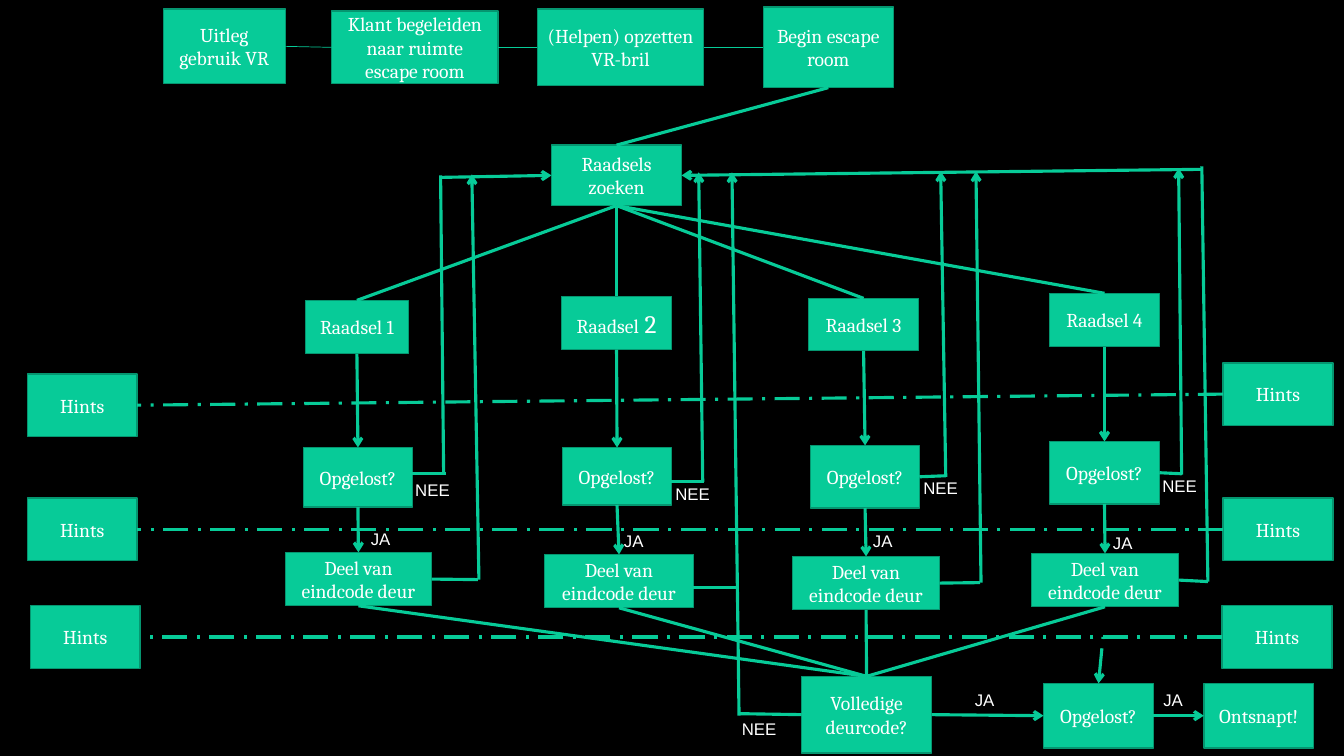
from lxml import etree
from pptx import Presentation
from pptx.dml.color import RGBColor
from pptx.enum.dml import MSO_LINE
from pptx.enum.shapes import MSO_CONNECTOR, MSO_SHAPE
from pptx.enum.text import MSO_ANCHOR, MSO_AUTO_SIZE, PP_ALIGN
from pptx.oxml.ns import qn
from pptx.util import Pt

EMU_PER_PX = 9144
RECTANGLE = MSO_SHAPE.RECTANGLE
STRAIGHT = MSO_CONNECTOR.STRAIGHT
DASH_DOT = MSO_LINE.LONG_DASH_DOT
MIDDLE = MSO_ANCHOR.MIDDLE
CENTER = PP_ALIGN.CENTER
FIXED = MSO_AUTO_SIZE.NONE
GROW = MSO_AUTO_SIZE.SHAPE_TO_FIT_TEXT
TOP, LEFT, BOTTOM, RIGHT = range(4)
HEAD, TAIL = "headEnd", "tailEnd"

COLORS = {"background": "000000", "green": "07CB98", "border": "059670", "text": "FFFFFF"}
BOX_FONT = {"name": "Cambria", "size": Pt(14)}
LABEL_FONT = {"name": "Arial", "size": Pt(12)}
BOX_FRAME = {"word_wrap": True, "auto_size": FIXED, "vertical_anchor": MIDDLE}
LABEL_FRAME = {"word_wrap": True, "auto_size": GROW}


def px(value):
    return value * EMU_PER_PX


def color(name):
    return RGBColor.from_string(COLORS[name])


def apply(target, values):
    for name, value in values.items():
        setattr(target, name, value)


class Flowchart:
    def __init__(self, page):
        self.page = page
        self.boxes = {}
        page.background.fill.solid()
        page.background.fill.fore_color.rgb = color("background")

    def add_span(self, para, text, font):
        span = para.add_run()
        span.text = text
        apply(span.font, font)
        span.font.color.rgb = color("text")

    def box(self, key, text, place, large=""):
        box = self.page.shapes.add_shape(RECTANGLE, *map(px, place))
        box.shadow.inherit = False
        box.fill.solid()
        box.fill.fore_color.rgb = color("green")
        box.line.color.rgb = color("border")
        box.line.width = Pt(1)
        apply(box.text_frame, BOX_FRAME)
        para = box.text_frame.paragraphs[0]
        para.alignment = CENTER
        self.add_span(para, text, BOX_FONT)
        if large:
            self.add_span(para, large, BOX_FONT | {"size": Pt(18)})
        self.boxes[key] = box

    def label(self, text, x, y, width):
        label = self.page.shapes.add_textbox(px(x), px(y), px(width), px(30))
        apply(label.text_frame, LABEL_FRAME)
        self.add_span(label.text_frame.paragraphs[0], text, LABEL_FONT)

    def line(self, start, end, arrow=None, width=2.25, dash=None):
        joined = [point[0] in self.boxes for point in (start, end)]
        first = (0, 0) if joined[0] else start
        last = (0, 0) if joined[1] else end
        line = self.page.shapes.add_connector(STRAIGHT, *map(px, (*first, *last)))
        if joined[0]:
            line.begin_connect(self.boxes[start[0]], start[1])
        if joined[1]:
            line.end_connect(self.boxes[end[0]], end[1])
        line.line.color.rgb = color("green")
        apply(line.line, {"width": Pt(width), "dash_style": dash})
        properties = line._element.spPr
        if arrow:
            etree.SubElement(properties.find(qn("a:ln")), qn("a:" + arrow), type="arrow")
        etree.SubElement(properties, qn("a:effectLst"))


def add_boxes(chart):
    steps = [
        ("uitleg", "Uitleg gebruik VR", (162, 9, 121, 74)),
        ("klant", "Klant begeleiden naar ruimte escape room", (329, 11, 165, 72)),
        ("bril", "(Helpen) opzetten VR-bril", (533, 9, 165, 76)),
        ("begin", "Begin escape room", (757, 7, 129, 80)),
        ("zoeken", "Raadsels zoeken", (547, 144, 129, 60)),
        ("deurcode", "Volledige deurcode?", (795, 671, 129, 76)),
        ("controle", "Opgelost?", (1035, 678, 109, 64)),
        ("ontsnapt", "Ontsnapt!", (1194, 678, 109, 64)),
    ]
    for key, text, place in steps:
        chart.box(key, text, place)

    columns = [
        ((303, 298, 102, 53), (301, 444, 108, 59), (283, 548, 145, 53)),
        ((557, 294, 109, 53), (558, 444, 108, 57), (540, 550, 148, 53)),
        ((802, 296, 109, 52), (804, 442, 108, 62), (786, 552, 146, 53)),
        ((1041, 291, 109, 53), (1041, 438, 109, 62), (1023, 549, 146, 53)),
    ]
    for number, (riddle, solved, part) in enumerate(columns, 1):
        if number == 2:
            chart.box("raadsel2", "Raadsel", riddle, large=" 2")
        else:
            chart.box(f"raadsel{number}", f"Raadsel {number}", riddle)
        chart.box(f"opgelost{number}", "Opgelost?", solved)
        chart.box(f"deel{number}", "Deel van eindcode deur", part)

    hints = [((27, 371), (1213, 360)), ((27, 494), (1213, 494)), ((30, 601), (1212, 601))]
    for row, (left, right) in enumerate(hints, 1):
        chart.box(f"links{row}", "Hints", (*left, 109, 62))
        chart.box(f"rechts{row}", "Hints", (*right, 109, 62))


def add_lines(chart):
    intro = ["uitleg", "klant", "bril", "begin"]
    for before, after in zip(intro, intro[1:]):
        chart.line((before, RIGHT), (after, LEFT), width=0.5)
    chart.line(("begin", BOTTOM), ("zoeken", TOP))

    for number in range(1, 5):
        riddle, solved, part = (f"{name}{number}" for name in ("raadsel", "opgelost", "deel"))
        chart.line(("zoeken", BOTTOM), (riddle, TOP))
        chart.line((riddle, BOTTOM), (solved, TOP), TAIL)
        chart.line((solved, BOTTOM), (part, TOP), TAIL)
        chart.line((part, BOTTOM), ("deurcode", TOP))

    for row in range(1, 4):
        chart.line((f"rechts{row}", LEFT), (f"links{row}", RIGHT), dash=DASH_DOT)

    chart.line(("deurcode", RIGHT), ("controle", LEFT), TAIL)
    chart.line(("controle", RIGHT), ("ontsnapt", LEFT), TAIL)
    chart.line(("controle", TOP), (1094, 632), HEAD, dash=DASH_DOT)

    chart.line(("zoeken", LEFT), (437, 176), HEAD)
    chart.line((1192, 168), ("zoeken", RIGHT), TAIL)
    returns = [
        ((437, 174), (440, 470), None),
        ((468, 173), (475, 575), HEAD),
        ((693, 171), (697, 478), HEAD),
        ((726, 171), (733, 710), HEAD),
        ((933, 170), (938, 473), HEAD),
        ((968, 170), (973, 578), HEAD),
        ((1169, 167), (1172, 471), HEAD),
        ((1192, 165), (1198, 577), None),
    ]
    for top, bottom, arrow in returns:
        chart.line(top, bottom, arrow)

    exits = [
        ((442, 470), (408, 470)),
        ((474, 575), ("deel1", RIGHT)),
        ((698, 478), (665, 478)),
        ((731, 583), (684, 583)),
        ((938, 472), ("opgelost3", RIGHT)),
        ((972, 578), ("deel3", RIGHT)),
        ((1172, 470), ("opgelost4", RIGHT)),
        ((1198, 577), ("deel4", RIGHT)),
        (("deurcode", LEFT), (733, 708)),
    ]
    for start, end in exits:
        chart.line(start, end)


def add_labels(chart):
    labels = {
        ("JA", 41): [(358, 520), (609, 522), (856, 522), (1094, 524), (1144, 679), (957, 679)],
        ("NEE", 57): [(402, 471), (660, 475), (906, 469), (1143, 467), (726, 708)],
    }
    for (text, width), places in labels.items():
        for x, y in places:
            chart.label(text, x, y, width)


def main():
    deck = Presentation()
    deck.slide_width, deck.slide_height = px(1333), px(750)
    chart = Flowchart(deck.slides.add_slide(deck.slide_layouts[6]))
    add_boxes(chart)
    add_lines(chart)
    add_labels(chart)
    deck.save("out.pptx")


if __name__ == "__main__":
    main()
